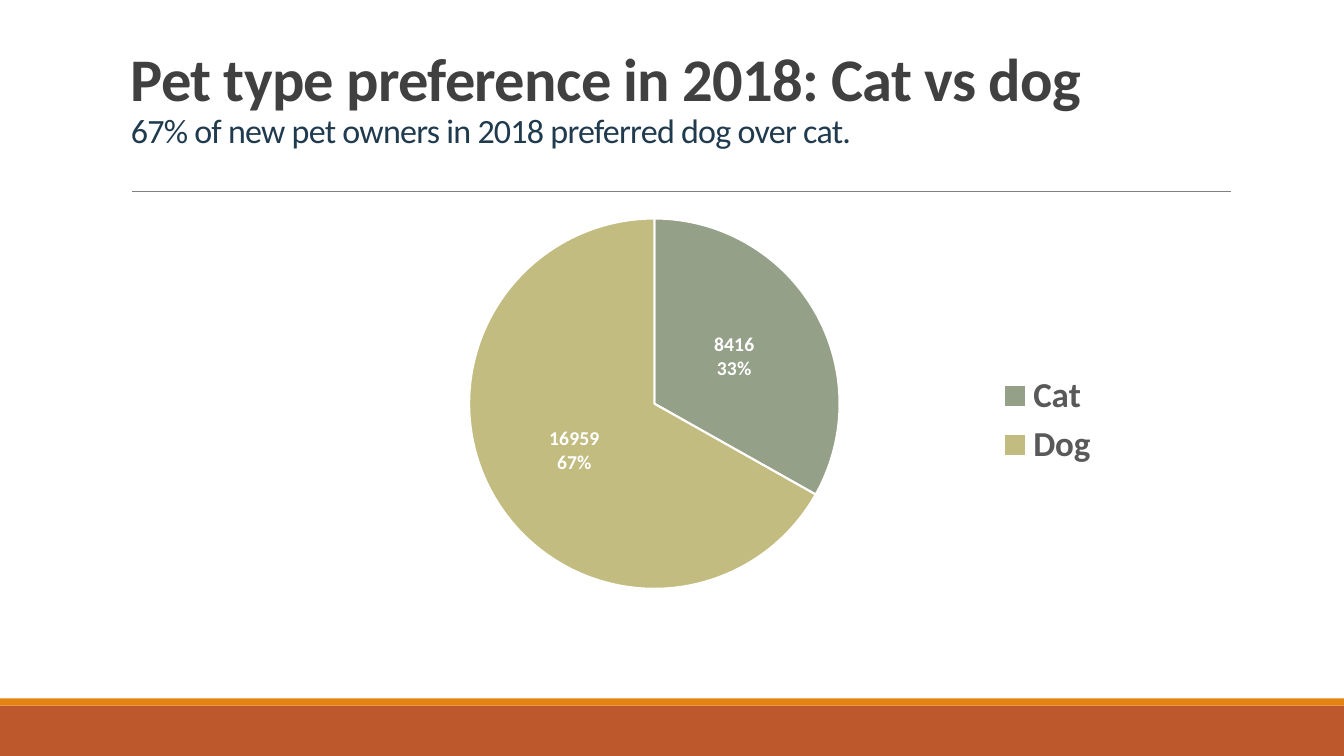
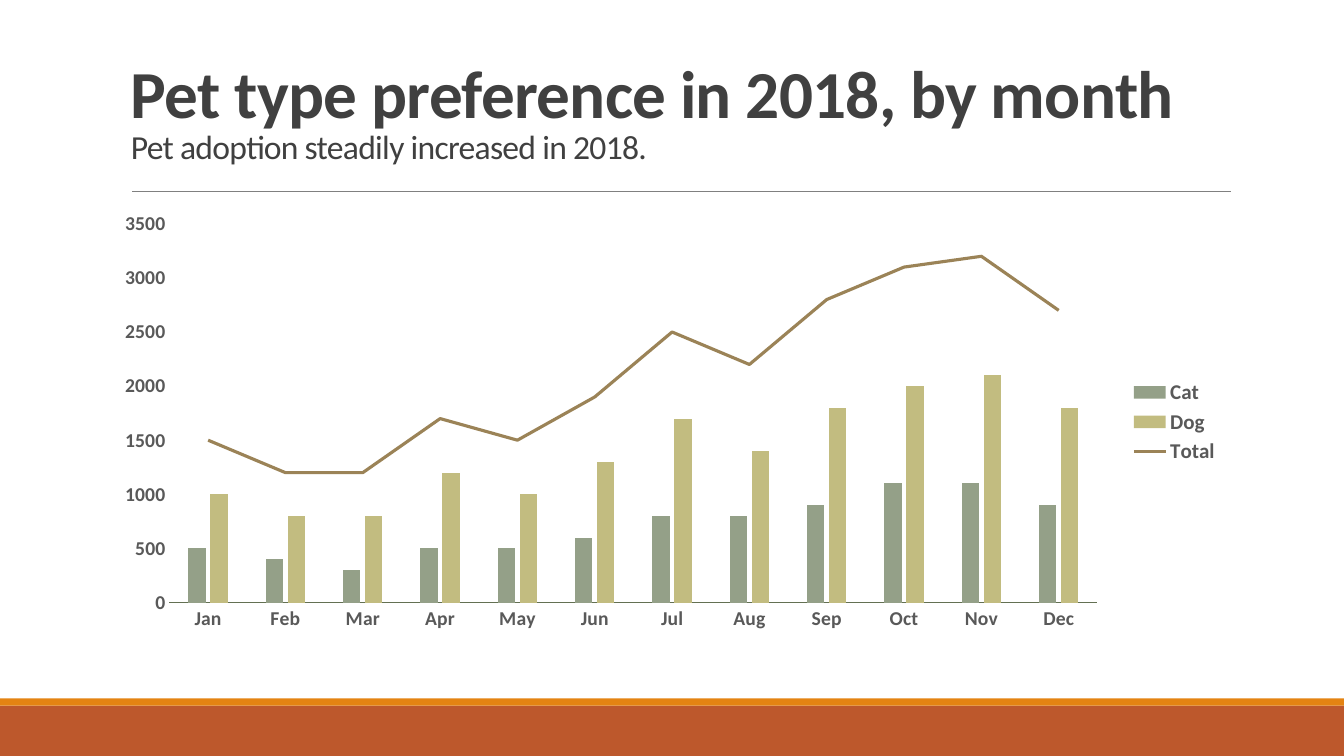
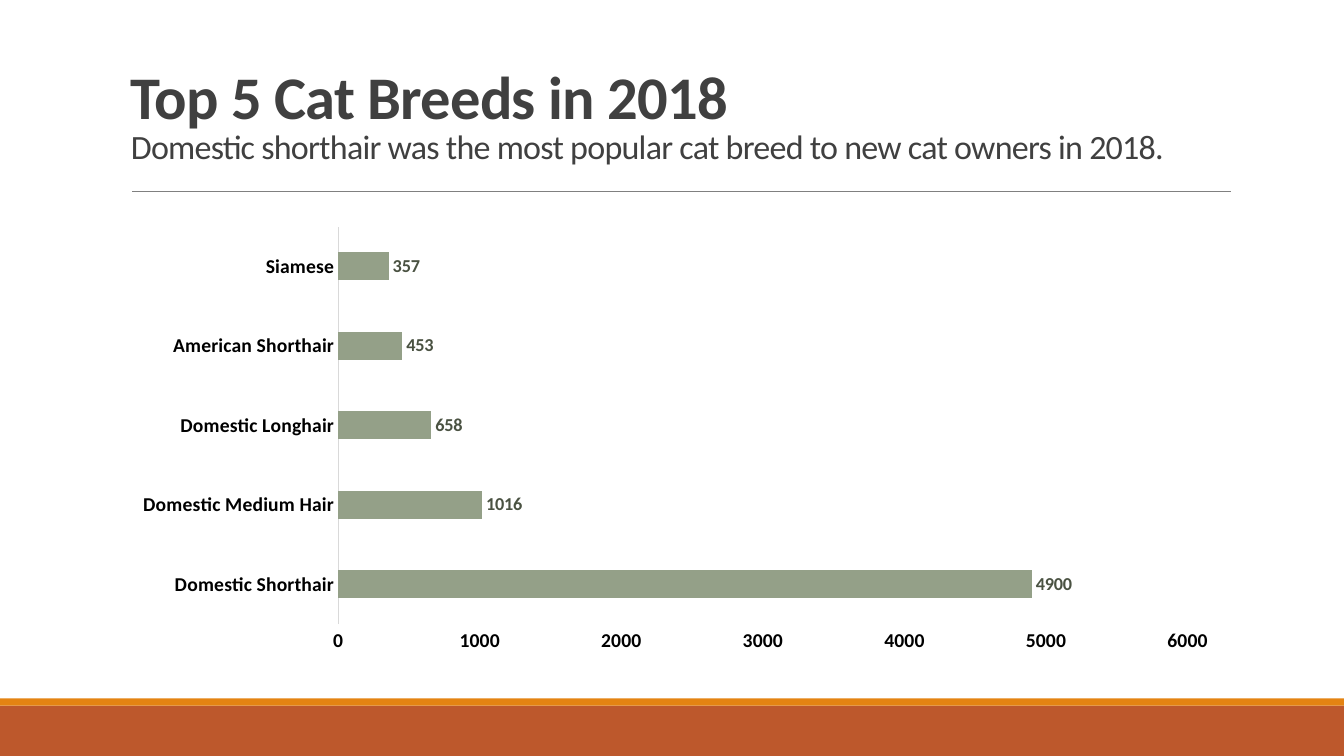
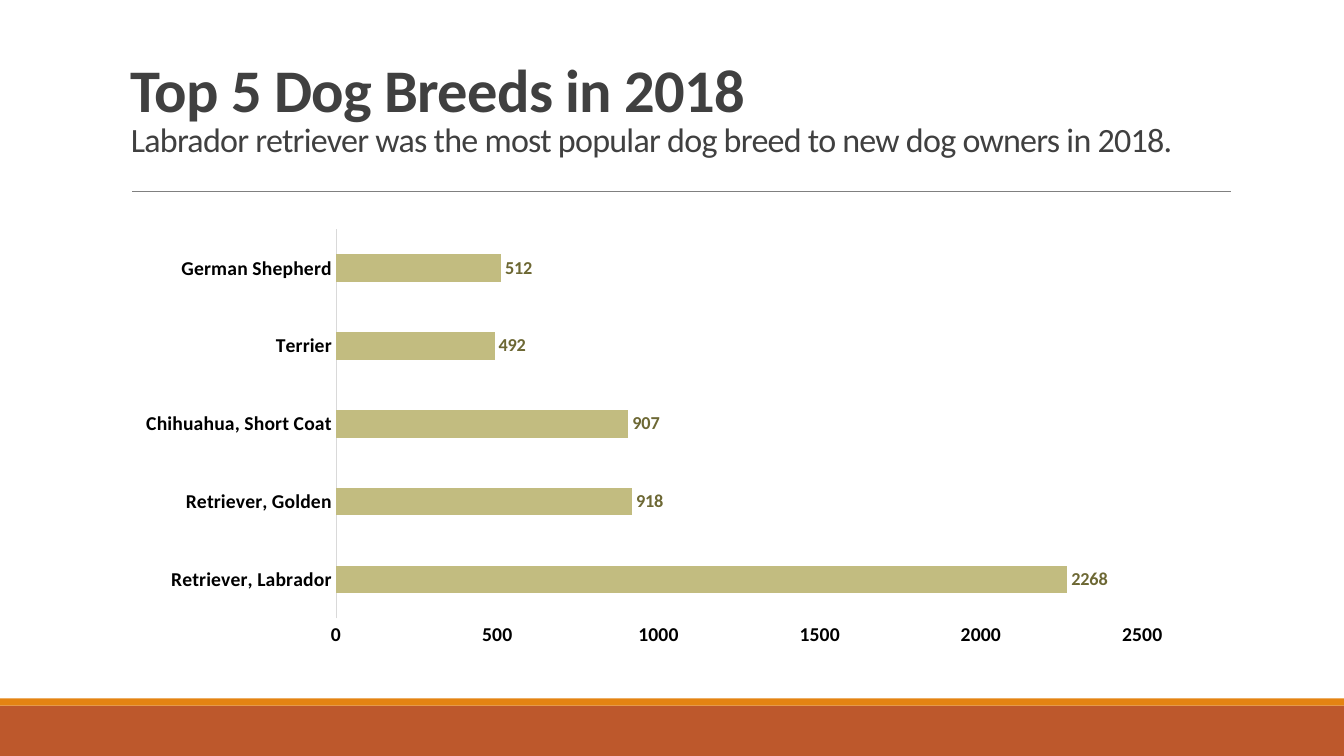
from dataclasses import dataclass
from typing import Sequence

from pptx import Presentation
from pptx.chart.chart import Chart
from pptx.chart.data import CategoryChartData
from pptx.dml.color import RGBColor
from pptx.enum.chart import (
    XL_CHART_TYPE as ChartType,
    XL_LABEL_POSITION as LabelPosition,
    XL_LEGEND_POSITION as LegendPosition,
    XL_MARKER_STYLE as MarkerStyle,
    XL_TICK_MARK as TickMark,
)
from pptx.enum.shapes import MSO_CONNECTOR as Connector, MSO_SHAPE as ShapeKind
from pptx.enum.text import MSO_ANCHOR as Anchor
from pptx.oxml import parse_xml
from pptx.oxml.ns import nsdecls, qn
from pptx.slide import Slide
from pptx.text.text import Font
from pptx.util import Inches, Pt

FONT = "Calibri"
BLACK = "000000"
WHITE = "FFFFFF"
INK = "404040"
GREY = "595959"
CAT_GREEN = "94A088"
DOG_KHAKI = "C2BC80"
TOTAL_BROWN = "9B8357"


@dataclass(frozen=True)
class Area:
    left: float
    top: float
    width: float
    height: float

    def lengths(self) -> tuple:
        return tuple(map(Inches, (self.left, self.top, self.width, self.height)))


@dataclass(frozen=True)
class Band:
    area: Area
    color: str


@dataclass(frozen=True)
class Heading:
    title: str
    subtitle: str
    height: float
    title_size: float = 43.2
    subtitle_size: float = 24.3
    subtitle_color: str = INK
    line_spacing: float = 0.85


@dataclass(frozen=True)
class Series:
    name: str
    values: Sequence[int]
    color: str


@dataclass(frozen=True)
class BreedPage:
    heading: Heading
    area: Area
    counts: dict[str, int]
    color: str
    label_color: str
    maximum: int
    step: int


BANDS = (
    Band(Area(0, 7, 13.33, 0.5), "BD582C"),
    Band(Area(0, 6.93, 13.33, 0.07), "E48312"),
)

PREFERENCE_HEADING = Heading(
    "Pet type preference in 2018: Cat vs dog",
    "67% of new pet owners in 2018 preferred dog over cat.",
    height=1.24,
    subtitle_color="203A4E",
    line_spacing=0.9,
)
MONTH_HEADING = Heading(
    "Pet type preference in 2018, by month",
    "Pet adoption steadily increased in 2018.",
    height=1.39,
    title_size=48,
    subtitle_size=24,
)

MONTHS = ("Jan", "Feb", "Mar", "Apr", "May", "Jun",
          "Jul", "Aug", "Sep", "Oct", "Nov", "Dec")
MONTH_SERIES = (
    Series("Cat", (500, 400, 300, 500, 500, 600, 800, 800, 900, 1100, 1100, 900), CAT_GREEN),
    Series("Dog", (1000, 800, 800, 1200, 1000, 1300, 1700, 1400, 1800, 2000, 2100, 1800), DOG_KHAKI),
    Series("Total", (1500, 1200, 1200, 1700, 1500, 1900, 2500, 2200, 2800, 3100, 3200, 2700), TOTAL_BROWN),
)

BREED_PAGES = (
    BreedPage(
        Heading(
            "Top 5 Cat Breeds in 2018",
            "Domestic shorthair was the most popular cat breed to new cat owners in 2018.",
            height=1.39,
        ),
        Area(1.2, 2.16, 11, 4.4),
        {
            "Domestic Shorthair": 4900,
            "Domestic Medium Hair": 1016,
            "Domestic Longhair": 658,
            "American Shorthair": 453,
            "Siamese": 357,
        },
        CAT_GREEN, "4A5242", maximum=6000, step=1000,
    ),
    BreedPage(
        Heading(
            "Top 5 Dog Breeds in 2018",
            "Labrador retriever was the most popular dog breed to new dog owners in 2018.",
            height=1.32,
        ),
        Area(1.24, 2.19, 10.5, 4.31),
        {
            "Retriever, Labrador": 2268,
            "Retriever, Golden": 918,
            "Chihuahua, Short Coat": 907,
            "Terrier": 492,
            "German Shepherd": 512,
        },
        DOG_KHAKI, "6D6834", maximum=2500, step=500,
    ),
)


def rgb(color: str) -> RGBColor:
    return RGBColor.from_string(color)


def paint(target, color: str) -> None:
    target.fill.solid()
    target.fill.fore_color.rgb = rgb(color)


def draw_line(line, color: str, width: float) -> None:
    line.color.rgb = rgb(color)
    line.width = Pt(width)


def set_font(font: Font, size: float, color: str, bold: bool = False) -> None:
    font.name = FONT
    font.size = Pt(size)
    font.bold = bold
    font.color.rgb = rgb(color)


def add_page(deck: Presentation, heading: Heading) -> Slide:
    page = deck.slides.add_slide(deck.slide_layouts[6])
    for band in BANDS:
        shape = page.shapes.add_shape(ShapeKind.RECTANGLE, *band.area.lengths())
        shape.shadow.inherit = False
        paint(shape, band.color)
        shape.line.fill.background()
    rule = page.shapes.add_connector(
        Connector.STRAIGHT, Inches(1.31), Inches(1.9), Inches(12.21), Inches(1.9))
    draw_line(rule.line, "808080", 0.5)
    rule._element.spPr.append(parse_xml(f"<a:effectLst {nsdecls('a')}/>"))
    add_heading(page, heading)
    return page


def add_heading(page: Slide, heading: Heading) -> None:
    box = page.shapes.add_textbox(*Area(1.2, 0.31, 11, heading.height).lengths())
    frame = box.text_frame
    frame.word_wrap = True
    frame.vertical_anchor = Anchor.BOTTOM
    para = frame.paragraphs[0]
    para.line_spacing = heading.line_spacing
    title = para.add_run()
    title.text = heading.title
    set_font(title.font, heading.title_size, INK, bold=True)
    para.add_line_break()
    subtitle = para.add_run()
    subtitle.text = heading.subtitle
    set_font(subtitle.font, heading.subtitle_size, heading.subtitle_color)
    for span in (title, subtitle):
        span._r.get_or_add_rPr().set("spc", "-50")


def add_chart(page: Slide, kind: ChartType, area: Area,
              categories: Sequence[str], series: Sequence[Series]) -> Chart:
    data = CategoryChartData()
    data.categories = categories
    for entry in series:
        data.add_series(entry.name, entry.values)
    chart = page.shapes.add_chart(kind, *area.lengths(), data).chart
    chart.has_title = False
    chart.has_legend = False
    set_font(chart.font, 10, BLACK)
    return chart


def add_legend(chart: Chart, size: float, overlay: bool = False) -> None:
    chart.has_legend = True
    chart.legend.position = LegendPosition.RIGHT
    chart.legend.include_in_layout = overlay
    set_font(chart.legend.font, size, GREY, bold=True)


def place(parent, index: int, target: str = "", **fractions: float) -> None:
    for old in parent.findall(qn("c:layout")):
        parent.remove(old)
    inner = f'<c:layoutTarget val="{target}"/>' if target else ""
    inner += "".join(f'<c:{side}Mode val="edge"/>' for side in "xy")
    inner += "".join(f'<c:{side} val="{value}"/>' for side, value in fractions.items())
    parent.insert(index, parse_xml(
        f"<c:layout {nsdecls('c')}><c:manualLayout>{inner}</c:manualLayout></c:layout>"))


def style_axes(chart: Chart, text_color: str, line_color: str,
               maximum: int, step: int) -> None:
    for axis in (chart.category_axis, chart.value_axis):
        axis.has_major_gridlines = False
        axis.major_tick_mark = TickMark.NONE
        axis.minor_tick_mark = TickMark.NONE
        set_font(axis.tick_labels.font, 14, text_color, bold=True)
    draw_line(chart.category_axis.format.line, line_color, 0.75)
    values = chart.value_axis
    values.format.line.fill.background()
    values.minimum_scale = 0
    values.maximum_scale = maximum
    values.major_unit = step


def move_last_series_to_line(chart: Chart) -> None:
    bars = chart._chartSpace.find(f".//{qn('c:barChart')}")
    moved = bars.findall(qn("c:ser"))[-1]
    for flag in moved.findall(qn("c:invertIfNegative")):
        moved.remove(flag)
    axes = "".join(
        f'<c:axId val="{axis.get("val")}"/>' for axis in bars.findall(qn("c:axId")))
    lines = parse_xml(
        f"<c:lineChart {nsdecls('c')}><c:grouping val=\"standard\"/>"
        f'<c:varyColors val="0"/><c:marker val="1"/>{axes}</c:lineChart>')
    lines.insert(2, moved)
    bars.addnext(lines)


def add_preference_page(deck: Presentation) -> None:
    page = add_page(deck, PREFERENCE_HEADING)
    chart = add_chart(page, ChartType.PIE, Area(1.24, 2.03, 10.5, 3.95),
                      ("Cat", "Dog"), [Series("Series 1", (8416, 16959), CAT_GREEN)])
    add_legend(chart, 25, overlay=True)
    place(chart.legend._element, 1, x=0.82, y=0.41)
    plot = chart.plots[0]
    plot.vary_by_categories = True
    for index, color in enumerate((CAT_GREEN, DOG_KHAKI)):
        slice_format = plot.series[0].points[index].format
        paint(slice_format, color)
        draw_line(slice_format.line, WHITE, 1.5)
    labels = plot.series[0].data_labels
    labels.show_value = True
    labels.show_percentage = True
    labels.position = LabelPosition.CENTER
    set_font(labels.font, 14, WHITE, bold=True)
    labels._element.find(qn("c:showBubbleSize")).addnext(
        parse_xml(f"<c:separator {nsdecls('c')}>\n</c:separator>"))


def add_month_page(deck: Presentation) -> None:
    page = add_page(deck, MONTH_HEADING)
    chart = add_chart(page, ChartType.COLUMN_CLUSTERED, Area(1.24, 2.05, 10.96, 4.27),
                      MONTHS, MONTH_SERIES)
    add_legend(chart, 15)
    style_axes(chart, GREY, "637052", maximum=3500, step=500)
    move_last_series_to_line(chart)
    place(chart._chartSpace.chart.plotArea, 0, "inner", x=0.04, y=0.04, w=0.84, h=0.88)
    columns, lines = chart.plots
    columns.vary_by_categories = False
    columns.gap_width = 219
    columns.overlap = -27
    for column, entry in zip(columns.series, MONTH_SERIES):
        paint(column.format, entry.color)
    total = lines.series[0]
    total.smooth = False
    total.marker.style = MarkerStyle.NONE
    draw_line(total.format.line, TOTAL_BROWN, 2.25)


def add_breed_page(deck: Presentation, breeds: BreedPage) -> None:
    page = add_page(deck, breeds.heading)
    chart = add_chart(page, ChartType.BAR_CLUSTERED, breeds.area, list(breeds.counts),
                      [Series("Series 1", list(breeds.counts.values()), breeds.color)])
    style_axes(chart, BLACK, "D9D9D9", breeds.maximum, breeds.step)
    plot = chart.plots[0]
    plot.vary_by_categories = False
    plot.gap_width = 182
    bars = plot.series[0]
    paint(bars.format, breeds.color)
    bars.data_labels.show_value = True
    bars.data_labels.position = LabelPosition.OUTSIDE_END
    set_font(bars.data_labels.font, 13, breeds.label_color, bold=True)


def main() -> None:
    deck = Presentation()
    deck.slide_width = Inches(13.33)
    deck.slide_height = Inches(7.5)
    add_preference_page(deck)
    add_month_page(deck)
    for breeds in BREED_PAGES:
        add_breed_page(deck, breeds)
    deck.save("out.pptx")


if __name__ == "__main__":
    main()
